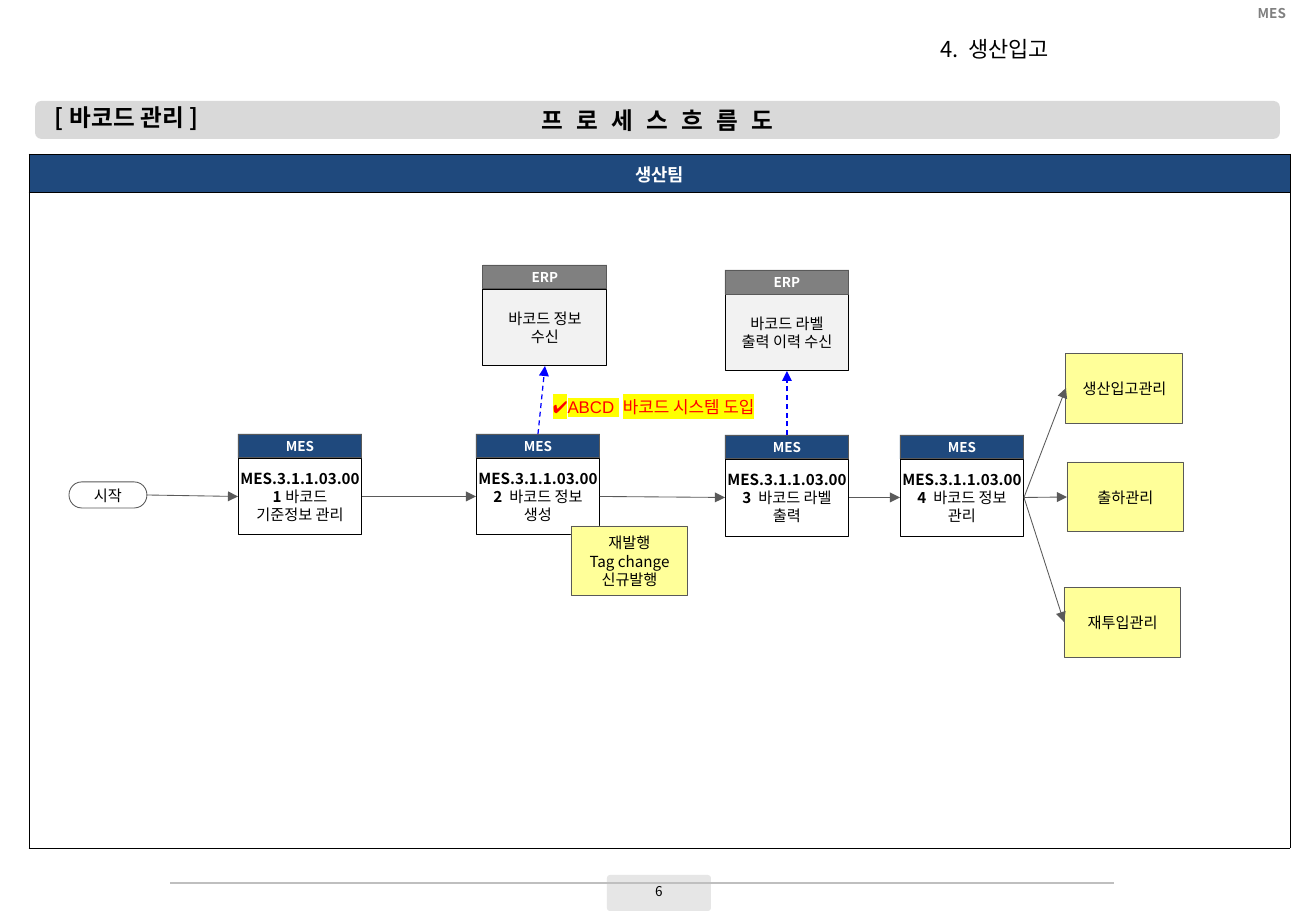
"""Build the barcode management process flow slide."""
from lxml.etree import SubElement
from pptx import Presentation
from pptx.dml.color import RGBColor
from pptx.enum.dml import MSO_LINE
from pptx.enum.shapes import MSO_CONNECTOR, MSO_SHAPE
from pptx.enum.text import MSO_ANCHOR, PP_ALIGN
from pptx.oxml.ns import qn
from pptx.util import Pt

FONT = "Noto Sans CJK KR"
COLORS = {
    "black": "000000", "white": "FFFFFF", "navy": "1F497D", "gray": "808080",
    "pale": "F2F2F2", "banner": "D9D9D9", "footer": "E6E6E6", "rule": "BFBFBF",
    "edge": "595959", "arrow": "5A5A5A", "blue": "0000FF", "note": "FFFF99",
    "red": "FF0000", "highlight": "FFFF00",
}
CARD_STYLES = {"MES": ("navy", "white"), "ERP": ("gray", "pale")}
CARD_W, HEAD_H, BODY_H = 124, 24, 77
NOTE_W, NOTE_H = 117, 70
TOP, LEFT, BOTTOM, RIGHT = range(4)

MES_CARDS = [
    (238, 434, "MES.3.1.1.03.001", "바코드", "기준정보 관리"),
    (476, 434, "MES.3.1.1.03.002 ", "바코드 정보", "생성"),
    (725, 435, "MES.3.1.1.03.003 ", "바코드 라벨", "출력"),
    (900, 435, "MES.3.1.1.03.004 ", "바코드 정보", "관리"),
]
ERP_CARDS = [
    (483, 265, ["바코드 정보", "수신"], 1),
    (725, 270, ["바코드 라벨", "출력 이력 수신"], 2),
]
OUTPUTS = [(1066, 353, "생산입고관리"), (1067, 462, "출하관리"), (1064, 587, "재투입관리")]
REISSUE = (571, 526, ["재발행", "Tag change", "신규발행"])
SCALE = 7526


def px(*values):
    return [round(v * SCALE) for v in values]


def rgb(name):
    return RGBColor.from_string(COLORS[name])


def style_run(r, size, color="black", bold=False, font=FONT, highlight=None):
    r.font.size, r.font.bold = Pt(size), bold
    r.font.color.rgb = rgb(color)
    rpr = r.font._element
    if highlight:
        mark = SubElement(rpr, qn("a:highlight"))
        SubElement(mark, qn("a:srgbClr"), val=COLORS[highlight])
    r.font.name = font
    SubElement(rpr, qn("a:ea"), typeface=FONT)


def write(tf, lines, size, color="black", bold=False, align=PP_ALIGN.CENTER):
    tf.text = "\n".join(lines)
    for p in tf.paragraphs:
        p.alignment = align
        for r in p.runs:
            style_run(r, size, color, bold)


def add_box(s, kind, box, fill, line=None):
    sp = s.shapes.add_shape(kind, *px(*box))
    sp.shadow.inherit = False
    sp.fill.solid()
    sp.fill.fore_color.rgb = rgb(fill)
    if line:
        sp.line.color.rgb, sp.line.width = rgb(line), Pt(0.5)
    else:
        sp.line.fill.background()
    tf = sp.text_frame
    tf.word_wrap, tf.vertical_anchor = True, MSO_ANCHOR.MIDDLE
    return sp


def add_block(s, box, fill, line, lines):
    sp = add_box(s, MSO_SHAPE.RECTANGLE, box, fill, line)
    sp.text_frame.margin_left = sp.text_frame.margin_right = 0
    write(sp.text_frame, lines, 9)
    return sp


def add_card(s, x, y, kind, lines):
    head_fill, body_fill = CARD_STYLES[kind]
    body = add_block(s, (x, y + HEAD_H, CARD_W, BODY_H), body_fill, "black", lines)
    head = add_box(s, MSO_SHAPE.RECTANGLE, (x, y, CARD_W, HEAD_H), head_fill, "edge")
    head.text_frame.word_wrap = False
    write(head.text_frame, [kind], 8, "white", True)
    return head, body


def add_line(s, ends, color, width):
    c = s.shapes.add_connector(MSO_CONNECTOR.STRAIGHT, *px(*ends))
    c.line.color.rgb, c.line.width = rgb(color), Pt(width)
    SubElement(c._element.spPr, qn("a:effectLst"))
    return c


def add_arrow(s, source, target, sites=(RIGHT, LEFT), color="arrow", width=0.5, dash=False):
    c = add_line(s, (0, 0, 0, 0), color, width)
    c.begin_connect(source, sites[0])
    c.end_connect(target, sites[1])
    if dash:
        c.line.dash_style = MSO_LINE.DASH
    SubElement(c.line._get_or_add_ln(), qn("a:tailEnd"), type="triangle")


def add_label(s, box, lines, size, color="black", bold=False, align=PP_ALIGN.LEFT):
    tf = s.shapes.add_textbox(*px(*box)).text_frame
    tf.word_wrap = False
    write(tf, lines, size, color, bold, align)
    return tf


def add_frame(s):
    tf = add_label(s, (910, 5, 388, 16), ["MES"], 8, "gray", True, PP_ALIGN.RIGHT)
    tf.word_wrap, tf.vertical_anchor = True, MSO_ANCHOR.MIDDLE
    tf.margin_top = tf.margin_bottom = 0

    page = add_box(s, MSO_SHAPE.ROUNDED_RECTANGLE, (607, 875, 104, 36), "footer")
    page.adjustments[0] = 0.09
    add_label(s, (607, 877, 104, 29), ["6"], 8, align=PP_ALIGN.CENTER).word_wrap = True
    add_line(s, (1114, 883, 170, 883), "rule", 0.75)

    banner = add_box(s, MSO_SHAPE.ROUNDED_RECTANGLE, (35, 101, 1245, 38), "banner")
    write(banner.text_frame, ["프 로 세 스 흐 름 도"], 14, bold=True)
    banner.text_frame.paragraphs[0].runs[0].font._element.set("spc", "230")
    add_label(s, (43, 97, 169, 41), ["[바코드 관리]"], 14, bold=True)

    title = s.shapes.title
    title.left, title.top, title.width, title.height = px(928, 23, 388, 51)
    title.text_frame.vertical_anchor = MSO_ANCHOR.MIDDLE
    write(title.text_frame, ["4. 생산입고"], 13, align=PP_ALIGN.LEFT)


def add_team_table(s):
    table = s.shapes.add_table(2, 1, *px(29, 154, 1261, 694)).table
    table.first_row = table.horz_banding = False
    for row, height, fill in zip(table.rows, px(38, 656), ("navy", "white")):
        row.height = height
        cell = row.cells[0]
        cell.margin_left = cell.margin_right = px(6)[0]
        cell.margin_top = cell.margin_bottom = 0
        cell.vertical_anchor = MSO_ANCHOR.MIDDLE
        tcpr = cell._tc.get_or_add_tcPr()
        for side in ("lnL", "lnR", "lnT", "lnB"):
            ln = SubElement(tcpr, qn(f"a:{side}"), w=str(Pt(0.5)))
            SubElement(SubElement(ln, qn("a:solidFill")), qn("a:srgbClr"), val=COLORS["black"])
        cell.fill.solid()
        cell.fill.fore_color.rgb = rgb(fill)
    tf = table.cell(0, 0).text_frame
    write(tf, ["생산팀"], 10.5, "white", True)
    tf.paragraphs[0].line_spacing, tf.paragraphs[0].space_before = 1.1, Pt(3)


def add_flow(s):
    start = add_box(s, MSO_SHAPE.FLOWCHART_TERMINATOR, (69, 482, 78, 26), "white", "edge")
    start.text_frame.word_wrap = False
    write(start.text_frame, ["시작"], 9)

    heads, steps = [], [start]
    for x, y, code, name, action in MES_CARDS:
        head, body = add_card(s, x, y, "MES", [code, action])
        p = body.text_frame.paragraphs[0]
        p.runs[0].font.bold = True
        r = p.add_run()
        r.text = name
        style_run(r, 9)
        heads.append(head)
        steps.append(body)
    for source, target in zip(steps, steps[1:]):
        add_arrow(s, source, target)

    for x, y, lines, step in ERP_CARDS:
        body = add_card(s, x, y, "ERP", lines)[1]
        add_arrow(s, heads[step], body, (TOP, BOTTOM), "blue", 0.75, True)

    for x, y, name in OUTPUTS:
        output = add_block(s, (x, y, NOTE_W, NOTE_H), "note", "edge", [name])
        add_arrow(s, steps[-1], output)
    x, y, lines = REISSUE
    add_block(s, (x, y, NOTE_W, NOTE_H), "note", "edge", lines)

    p = add_label(s, (541, 391, 253, 33), [""], 10).paragraphs[0]
    for text, bold, font in (("✔", True, FONT), ("ABCD 바코드 시스템 도입", False, "Arial")):
        r = p.add_run()
        r.text = text
        style_run(r, 10, "red", bold, font, "highlight")


def main():
    prs = Presentation()
    prs.slide_width, prs.slide_height = px(1316, 911)
    s = prs.slides.add_slide(prs.slide_layouts[5])
    add_frame(s)
    add_team_table(s)
    add_flow(s)
    prs.save("out.pptx")


if __name__ == "__main__":
    main()
